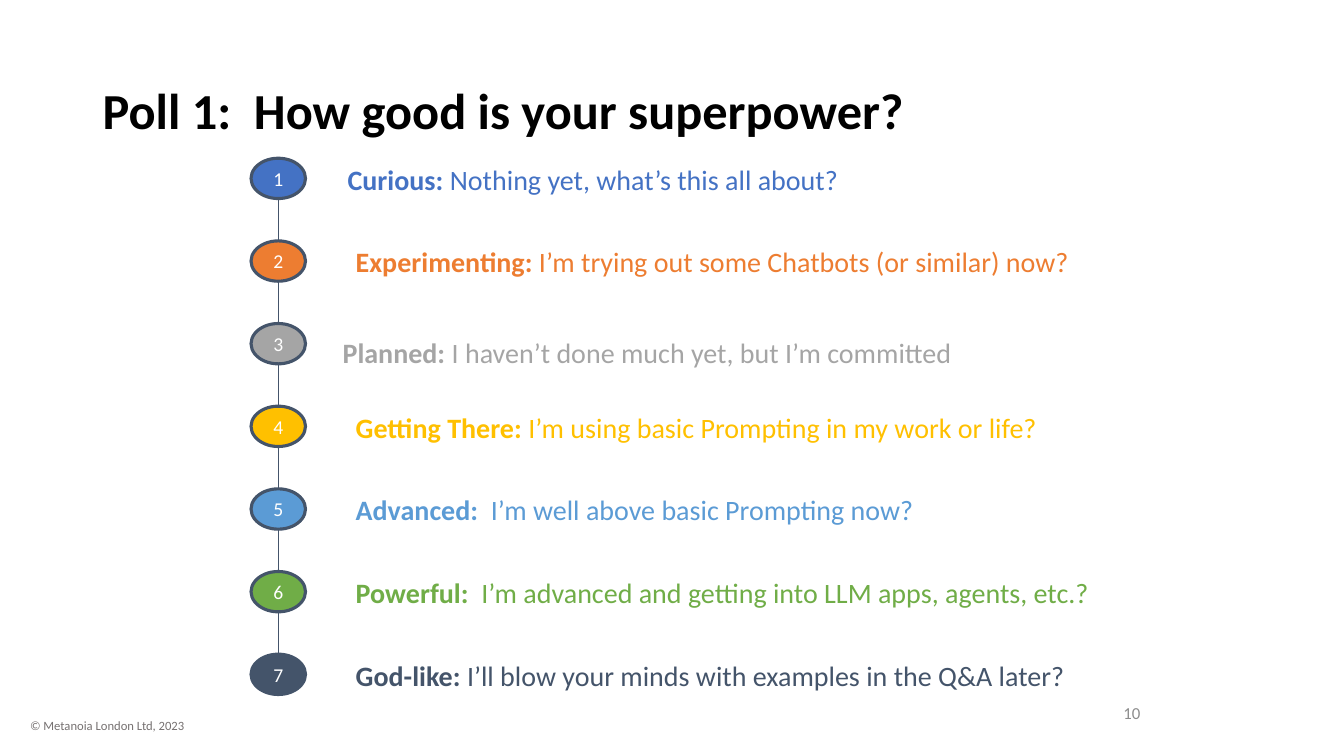
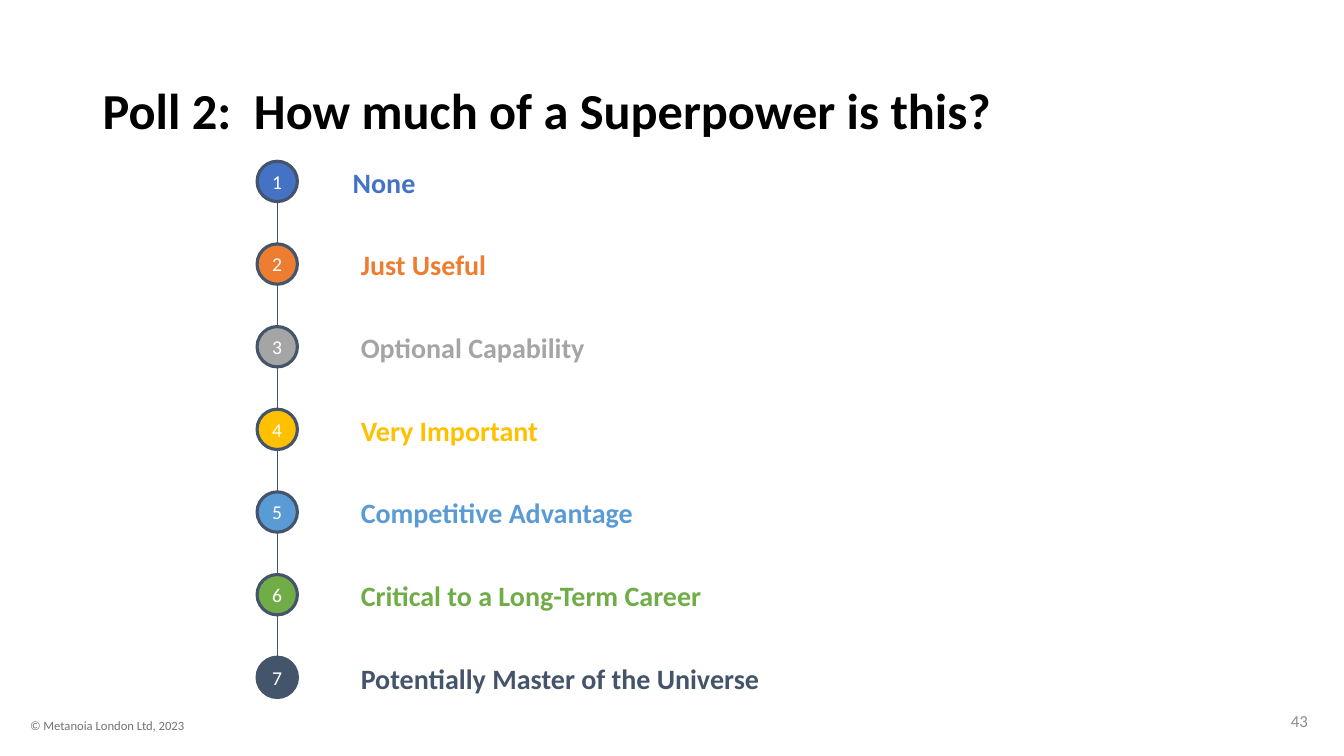
from pptx import Presentation
from pptx.dml.color import RGBColor
from pptx.enum.shapes import MSO_CONNECTOR, MSO_SHAPE
from pptx.enum.text import MSO_ANCHOR, PP_ALIGN
from pptx.oxml.ns import qn
from pptx.util import Inches, Pt
from lxml.etree import SubElement

FONT = "Calibri"
BLACK, WHITE, SLATE = "000000", "FFFFFF", "44546A"
FOOTER_GREY, NUMBER_GREY = "767171", "8C8C8C"
STEP_COLORS = ["4472C4", "ED7D31", "A5A5A5", "FFC000", "5B9BD5", "70AD47", SLATE]
FOOTER = "© Metanoia London Ltd, 2023"

STEP_PITCH = 0.82
MARKER_HEIGHT = 0.4
LABEL_RISE = 0.11  # label box starts this far above its marker

# Answers are (bold lead, plain rest); nudges move single labels by (x, y).
POLLS = [
    {
        "title": "Poll 1:  How good is your superpower?",
        "number": "10", "number_box": (8.51, 6.87, 2.9, 0.4),
        "axis_x": 2.76, "top": 1.57, "marker_width": 0.54,
        "label_x": 3.43, "nudges": {0: (-0.08, 0), 2: (-0.13, 0.08)},
        "answers": [
            ("Curious: ", "Nothing yet, what’s this all about?"),
            ("Experimenting: ", "I’m trying out some Chatbots (or similar) now?"),
            ("Planned: ", "I haven’t done much yet, but I’m committed"),
            ("Getting There: ", "I’m using basic Prompting in my work or life?"),
            ("Advanced:  ", "I’m well above basic Prompting now?"),
            ("Powerful:  ", "I’m advanced and getting into LLM apps, agents, etc.?"),
            ("God-like: ", "I’ll blow your minds with examples in the Q&A later?"),
        ],
    },
    {
        "title": "Poll 2:  How much of a Superpower is this?",
        "number": "43", "number_box": (10.93, 6.95, 2.14, 0.4),
        "axis_x": 2.75, "top": 1.6, "marker_width": 0.4,
        "label_x": 3.48, "nudges": {0: (-0.08, 0)},
        "answers": [
            ("None", ""),
            ("Just Useful", ""),
            ("Optional Capability", ""),
            ("Very Important", ""),
            ("Competitive Advantage", ""),
            ("Critical to a Long-Term Career", ""),
            ("Potentially Master of the Universe", ""),
        ],
    },
]


def rgb(color):
    return RGBColor.from_string(color)


def write(tf, lead, rest="", size=20, color=BLACK, bold=False, align=PP_ALIGN.LEFT,
          anchor=MSO_ANCHOR.TOP, spacing=1.0, wrap=True):
    """Fill a text frame with one paragraph; rest follows lead in regular weight."""
    tf.word_wrap = wrap
    tf.vertical_anchor = anchor
    p = tf.paragraphs[0]
    p.alignment, p.line_spacing = align, spacing
    for text, weight in ((lead, bold), (rest, False)):
        if text:
            r = p.add_run()
            r.text = text
            r.font.name, r.font.size, r.font.bold = FONT, Pt(size), weight
            r.font.color.rgb = rgb(color)


def add_text(slide, box, lead, **style):
    sp = slide.shapes.add_textbox(*map(Inches, box))
    write(sp.text_frame, lead, **style)


def add_marker(slide, box, number, color):
    sp = slide.shapes.add_shape(MSO_SHAPE.OVAL, *map(Inches, box))
    sp.shadow.inherit = False
    sp.fill.solid()
    sp.fill.fore_color.rgb = rgb(color)
    sp.line.color.rgb = rgb(SLATE)
    sp.line.width = Pt(2.25)
    tf = sp.text_frame
    tf.margin_left = tf.margin_right = tf.margin_top = tf.margin_bottom = 0
    write(tf, str(number), size=14, color=WHITE, align=PP_ALIGN.CENTER,
          anchor=MSO_ANCHOR.MIDDLE, wrap=False)


def add_link(slide, x, top, bottom):
    line = slide.shapes.add_connector(
        MSO_CONNECTOR.STRAIGHT, Inches(x), Inches(top), Inches(x), Inches(bottom))
    line.line.color.rgb = rgb(SLATE)
    line.line.width = Pt(0.5)
    SubElement(line._element.spPr, qn("a:effectLst"))


def add_frame(slide, poll):
    """Add the title, copyright line and slide number."""
    add_text(slide, (0.92, 0.4, 11.5, 1.45), poll["title"], size=36, bold=True,
             anchor=MSO_ANCHOR.MIDDLE, spacing=0.9)
    add_text(slide, (0.2, 7.07, 1.75, 0.25), FOOTER, size=9, color=FOOTER_GREY, wrap=False)
    add_text(slide, poll["number_box"], poll["number"], size=12, color=NUMBER_GREY,
             align=PP_ALIGN.RIGHT, anchor=MSO_ANCHOR.MIDDLE)


def add_scale(slide, poll):
    x, width = poll["axis_x"], poll["marker_width"]
    for i, ((lead, rest), color) in enumerate(zip(poll["answers"], STEP_COLORS)):
        top = poll["top"] + i * STEP_PITCH
        if i:
            add_link(slide, x, top - STEP_PITCH + MARKER_HEIGHT, top)
        add_marker(slide, (x - width / 2, top, width, MARKER_HEIGHT), i + 1, color)
        dx, dy = poll["nudges"].get(i, (0, 0))
        add_text(slide, (poll["label_x"] + dx, top - LABEL_RISE + dy, 9.3, 0.5),
                 lead, rest=rest, color=color, bold=True, spacing=1.3)


def main():
    prs = Presentation()
    prs.slide_width, prs.slide_height = Inches(13.33), Inches(7.5)
    for poll in POLLS:
        slide = prs.slides.add_slide(prs.slide_layouts[6])
        add_frame(slide, poll)
        add_scale(slide, poll)
    prs.save("out.pptx")


if __name__ == "__main__":
    main()
